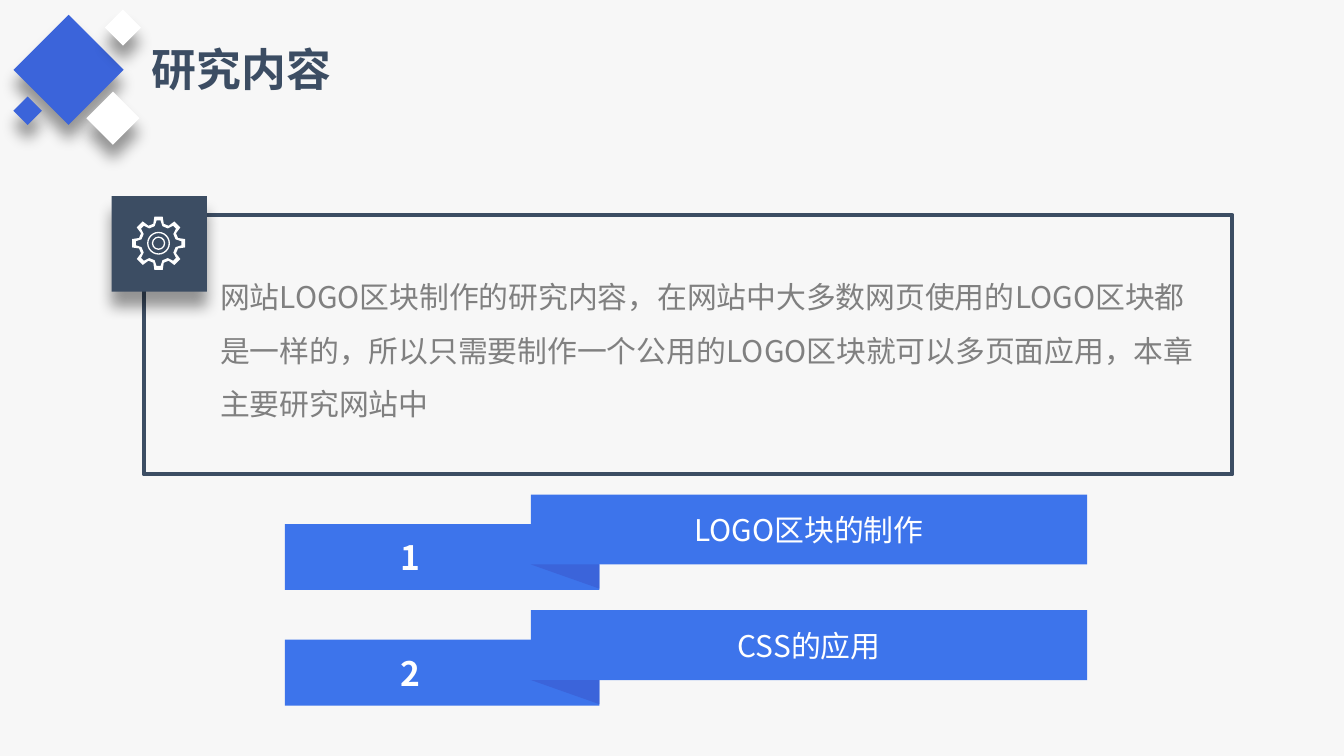
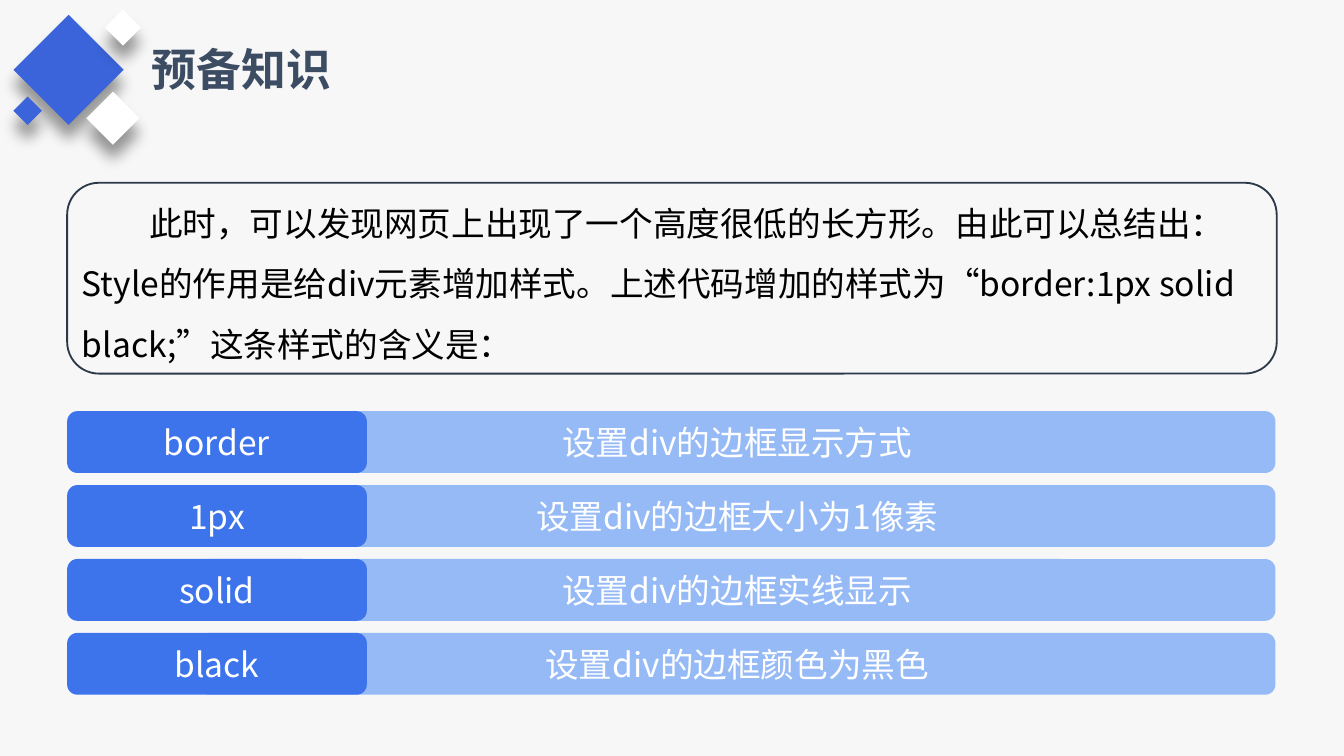
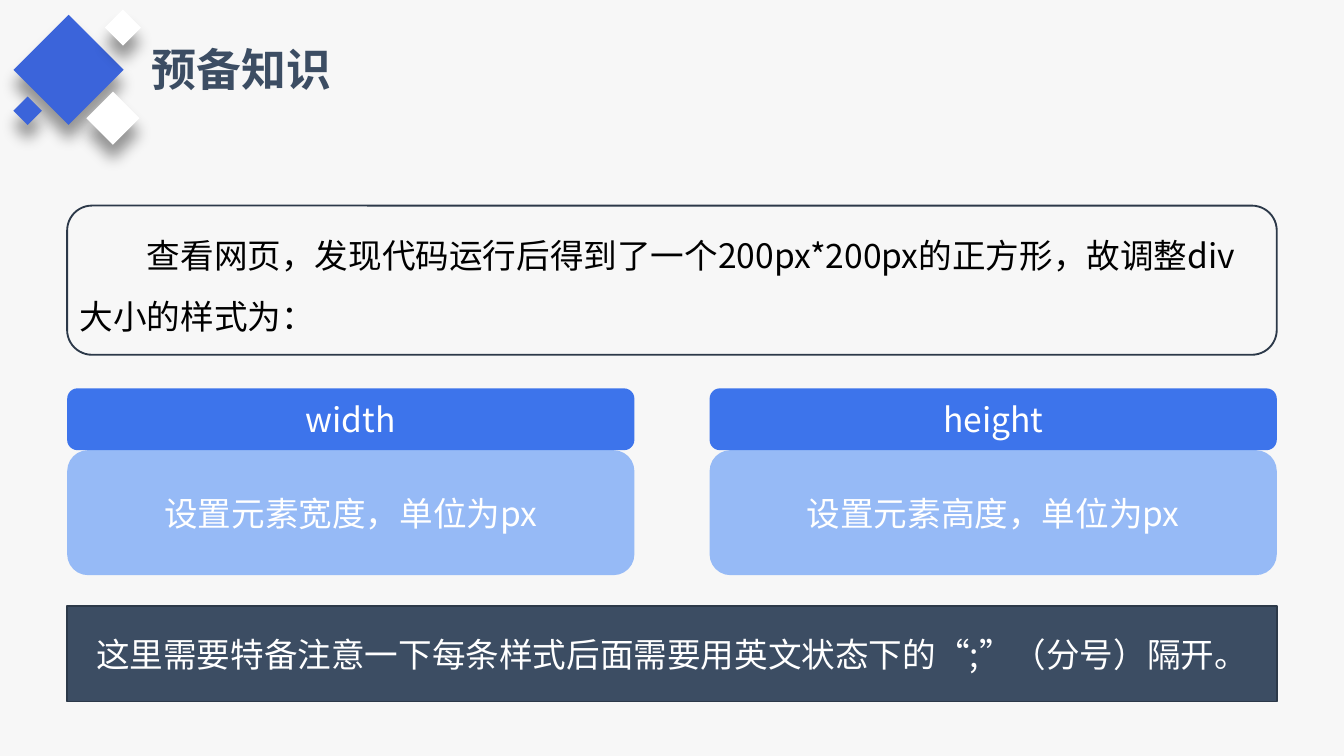
from math import cos, radians, sin

from lxml import etree
from pptx import Presentation
from pptx.dml.color import RGBColor
from pptx.enum.shapes import MSO_SHAPE
from pptx.enum.text import MSO_ANCHOR, MSO_AUTO_SIZE, PP_ALIGN
from pptx.oxml.ns import qn
from pptx.util import Inches, Pt

RECT, ROUND, DONUT = MSO_SHAPE.RECTANGLE, MSO_SHAPE.ROUNDED_RECTANGLE, MSO_SHAPE.DONUT
LEFT, CENTER = PP_ALIGN.LEFT, PP_ALIGN.CENTER
TOP, MIDDLE = MSO_ANCHOR.TOP, MSO_ANCHOR.MIDDLE
FIT_TEXT = MSO_AUTO_SIZE.SHAPE_TO_FIT_TEXT

FONT = "Noto Sans CJK SC"
PAPER, WHITE, BLACK, GRAY = "F7F7F7", "FFFFFF", "000000", "808080"
SLATE, INK = "3C4D63", "2C3949"
BLUE, DEEP_BLUE, PALE_BLUE = "3D74EB", "3B64DA", "96BAF6"

DIAMONDS = [
    (0.22, 0.23, 0.58, DEEP_BLUE),
    (0.7, 0.74, 0.28, WHITE),
    (0.82, 0.11, 0.19, WHITE),
    (0.13, 0.75, 0.15, DEEP_BLUE),
]
SLIDE_WIDTH = 10
MARGIN, CONTENT_WIDTH = 0.5, 9
LABEL_HEIGHT = 0.46

RESEARCH = {
    "title": "研究内容",
    "summary": "网站LOGO区块制作的研究内容，在网站中大多数网页使用的LOGO区块都是一样的，"
               "所以只需要制作一个公用的LOGO区块就可以多页面应用，本章主要研究网站中",
    "topics": ["LOGO区块的制作", "CSS的应用"],
}
BORDER = {
    "title": "预备知识",
    "intro": "此时，可以发现网页上出现了一个高度很低的长方形。由此可以总结出："
             "Style的作用是给div元素增加样式。上述代码增加的样式为"
             "“border:1px solid black;”这条样式的含义是：",
    "meanings": [
        ("border", "设置div的边框显示方式"),
        ("1px", "设置div的边框大小为1像素"),
        ("solid", "设置div的边框实线显示"),
        ("black", "设置div的边框颜色为黑色"),
    ],
}
SIZE = {
    "title": "预备知识",
    "intro": "查看网页，发现代码运行后得到了一个200px*200px的正方形，故调整div大小的样式为：",
    "meanings": [
        ("width", "设置元素宽度，单位为px"),
        ("height", "设置元素高度，单位为px"),
    ],
    "reminder": "这里需要特备注意一下每条样式后面需要用英文状态下的“;”（分号）隔开。",
}


def rgb(color):
    return RGBColor.from_string(color)


def paint(shape, fill=None, line=None, weight=1):
    shape.shadow.inherit = False
    if fill:
        shape.fill.solid()
        shape.fill.fore_color.rgb = rgb(fill)
    else:
        shape.fill.background()
    if line:
        shape.line.color.rgb = rgb(line)
        shape.line.width = Pt(weight)
    else:
        shape.line.fill.background()


def add_block(slide, kind, left, top, width, height, fill=None, line=None, weight=1):
    block = slide.shapes.add_shape(
        kind, Inches(left), Inches(top), Inches(width), Inches(height))
    paint(block, fill, line, weight)
    return block


def cast_shadow(shape):
    effects = shape._element.spPr.find(qn("a:effectLst"))
    shadow = etree.SubElement(
        effects, qn("a:outerShdw"), blurRad=str(Pt(8)), dist=str(Pt(8)),
        dir="5400000", algn="t", rotWithShape="0")
    color = etree.SubElement(shadow, qn("a:srgbClr"), val=BLACK)
    etree.SubElement(color, qn("a:alpha"), val="40000")


def write(shape, text, size=18, color=WHITE, bold=False, align=CENTER, anchor=MIDDLE,
          spacing=None, indent=0, insets=(0.1, 0.05, 0.1, 0.05), wrap=True):
    frame = shape.text_frame
    frame.text = text
    frame.word_wrap = wrap
    frame.vertical_anchor = anchor
    frame.margin_left, frame.margin_top, frame.margin_right, frame.margin_bottom = (
        Inches(inset) for inset in insets)
    paragraph = frame.paragraphs[0]
    paragraph.alignment = align
    if spacing:
        paragraph.line_spacing = spacing
    if indent:
        paragraph._p.get_or_add_pPr().set("indent", str(Inches(indent)))
    for run in paragraph.runs:
        run.font.size = Pt(size)
        run.font.bold = bold
        run.font.color.rgb = rgb(color)
        run.font.name = FONT
        etree.SubElement(run.font._element, qn("a:ea"), typeface=FONT)


def add_words(slide, left, top, width, height, text, **style):
    words = slide.shapes.add_textbox(
        Inches(left), Inches(top), Inches(width), Inches(height))
    write(words, text, align=LEFT, anchor=TOP, **style)
    words.text_frame.auto_size = FIT_TEXT


def add_outline(slide, contours, fill):
    contours = [[(Inches(x), Inches(y)) for x, y in contour] for contour in contours]
    builder = slide.shapes.build_freeform(*contours[0][0])
    builder.add_line_segments(contours[0][1:])
    for contour in contours[1:]:
        builder.move_to(*contour[0])
        builder.add_line_segments(contour[1:])
    paint(builder.convert_to_shape(), fill)


def cog_contour(x, y, tip, root, tip_angle, root_angle, teeth=8):
    corners = [(-root_angle, root), (-tip_angle, tip), (tip_angle, tip), (root_angle, root)]
    return [
        (x + radius * cos(radians(tooth * 360 / teeth + angle)),
         y + radius * sin(radians(tooth * 360 / teeth + angle)))
        for tooth in range(teeth) for angle, radius in corners
    ]


def add_gear(slide, x, y):
    add_outline(slide, [cog_contour(x, y, 0.2, 0.15, 9, 15),
                        cog_contour(x, y, 0.17, 0.13, 5, 13)], WHITE)
    for diameter in (0.17, 0.1):
        ring = add_block(slide, DONUT, x - diameter / 2, y - diameter / 2,
                         diameter, diameter, WHITE)
        ring.adjustments[0] = 0.01 / diameter


def start_slide(deck, title):
    slide = deck.slides.add_slide(deck.slide_layouts[6])
    for left, top, side, color in DIAMONDS:
        diamond = add_block(slide, RECT, left, top, side, side, color)
        diamond.rotation = 45
        cast_shadow(diamond)
    add_words(slide, 1.03, 0.26, 1.54, 0.5, title, size=24, color=SLATE, bold=True, wrap=False)
    return slide


def add_intro(slide, top, height, text):
    intro = add_block(slide, ROUND, MARGIN, top, CONTENT_WIDTH, height, line=INK)
    write(intro, text, color=BLACK, align=LEFT, spacing=1.5, indent=0.5,
          insets=(0.04, 0.05, 0.04, 0.12))


def add_ribbon(slide, top, number, topic):
    tail_left, tail_width, band_left, band_height = 2.12, 2.34, 3.95, 0.52
    tail = add_block(slide, RECT, tail_left, top + 0.22, tail_width, 0.49, BLUE)
    write(tail, str(number), bold=True, insets=(0, 0, 0.47, 0))
    band = add_block(slide, RECT, band_left, top, 4.14, band_height, BLUE)
    write(band, topic, size=16)
    fold_top, fold_right = top + band_height, tail_left + tail_width
    add_outline(slide, [[(fold_right, fold_top), (band_left, fold_top),
                         (fold_right, fold_top + 0.18)]], DEEP_BLUE)


def build_research(deck):
    slide = start_slide(deck, RESEARCH["title"])
    add_block(slide, RECT, 1.07, 1.6, 8.1, 1.93, line=SLATE, weight=2.25)
    badge = add_block(slide, RECT, 0.83, 1.46, 0.71, 0.71, SLATE)
    cast_shadow(badge)
    add_words(slide, 1.54, 1.89, 7.56, 1.31, RESEARCH["summary"],
              size=16, color=GRAY, spacing=1.5)
    add_gear(slide, 1.18, 1.81)
    for row, topic in enumerate(RESEARCH["topics"]):
        add_ribbon(slide, 3.68 + row * 0.86, row + 1, topic)


def build_border(deck):
    slide = start_slide(deck, BORDER["title"])
    add_intro(slide, 1.36, 1.42, BORDER["intro"])
    for row, (term, meaning) in enumerate(BORDER["meanings"]):
        top = 3.06 + row * 0.55
        band = add_block(slide, ROUND, 1.48, top, 8.01, LABEL_HEIGHT, PALE_BLUE)
        write(band, meaning)
        label = add_block(slide, ROUND, MARGIN, top, 2.23, LABEL_HEIGHT, BLUE)
        write(label, term)


def build_size(deck):
    slide = start_slide(deck, SIZE["title"])
    add_intro(slide, 1.53, 1.11, SIZE["intro"])
    card_width, gap, top = 4.22, 0.56, 2.89
    for column, (term, meaning) in enumerate(SIZE["meanings"]):
        left = MARGIN + column * (card_width + gap)
        card = add_block(slide, ROUND, left, top + LABEL_HEIGHT, card_width, 0.93, PALE_BLUE)
        write(card, meaning)
        label = add_block(slide, ROUND, left, top, card_width, LABEL_HEIGHT, BLUE)
        write(label, term)
    reminder = add_block(slide, RECT, MARGIN, 4.51, CONTENT_WIDTH, 0.71, SLATE, INK)
    write(reminder, SIZE["reminder"])


def main():
    deck = Presentation()
    deck.slide_width = Inches(SLIDE_WIDTH)
    deck.slide_height = Inches(SLIDE_WIDTH * 9 / 16)
    backdrop = deck.slide_master.background.fill
    backdrop.solid()
    backdrop.fore_color.rgb = rgb(PAPER)
    build_research(deck)
    build_border(deck)
    build_size(deck)
    deck.save("out.pptx")


if __name__ == "__main__":
    main()
